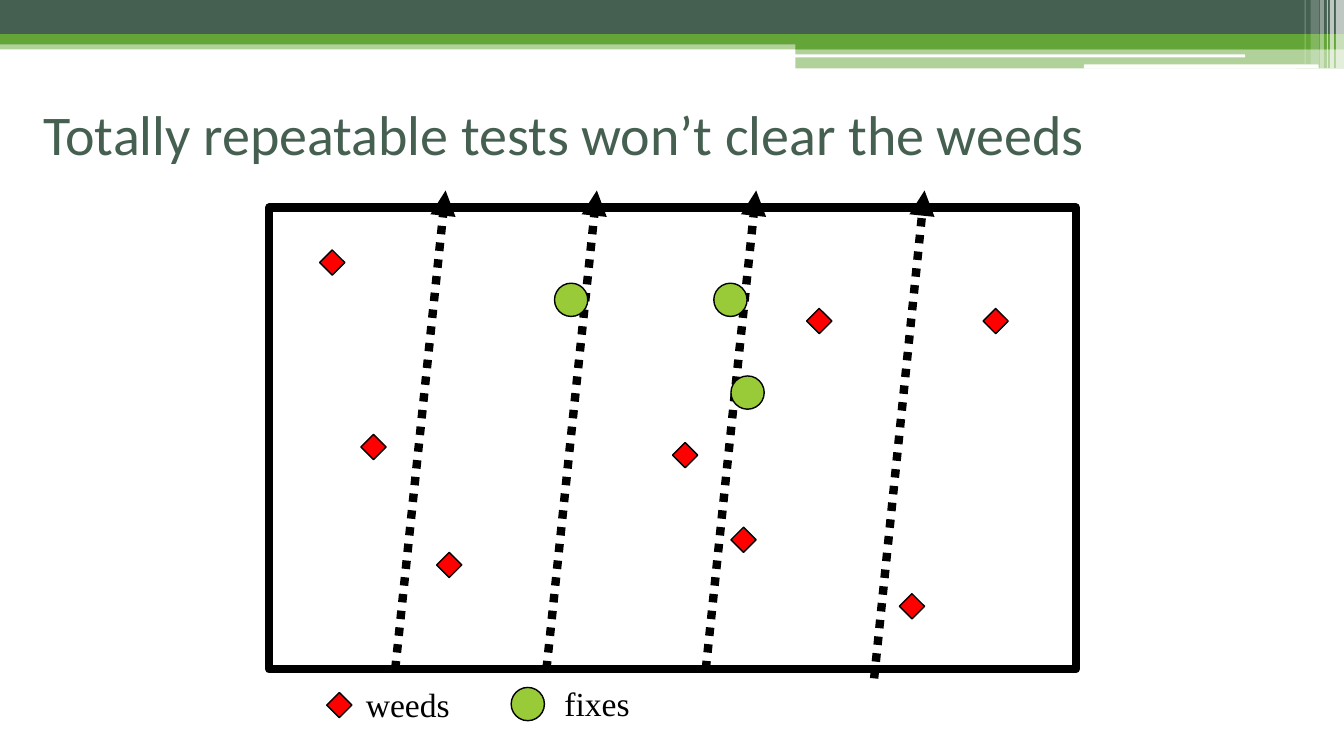
from dataclasses import dataclass

from lxml.etree import SubElement
from pptx import Presentation
from pptx.dml.color import RGBColor
from pptx.enum.dml import MSO_LINE
from pptx.enum.shapes import MSO_CONNECTOR, MSO_SHAPE
from pptx.enum.text import MSO_ANCHOR
from pptx.oxml.ns import qn
from pptx.util import Inches, Pt

RECT = MSO_SHAPE.RECTANGLE
ROUND = MSO_SHAPE.ROUNDED_RECTANGLE
DIAMOND = MSO_SHAPE.DIAMOND
OVAL = MSO_SHAPE.OVAL
STRAIGHT = MSO_CONNECTOR.STRAIGHT
DOTS = MSO_LINE.ROUND_DOT
TOP = MSO_ANCHOR.TOP
MIDDLE = MSO_ANCHOR.MIDDLE

COLORS = {
    "dark": "455F51",
    "green": "63A537",
    "white": "FFFFFF",
    "black": "000000",
    "weed": "FF0000",
    "fix": "99CB38",
}


@dataclass
class Band:
    left: float
    top: float
    width: float
    height: float
    color: str
    alpha: int = 100
    kind: MSO_SHAPE = RECT
    edge: float = 0


@dataclass
class Mark:
    kind: MSO_SHAPE
    size: float
    color: str


@dataclass
class Row:
    left: float
    base: float


BANDS = [
    Band(0, 0.4, 13.33, 0.09, "green", 50),
    Band(0, 0, 13.33, 0.34, "dark"),
    Band(0, 0.34, 13.33, 0.1, "green"),
    Band(7.89, 0.39, 5.44, 0.1, "green"),
    Band(7.89, 0.48, 5.44, 0.2, "green", 50),
    Band(7.88, 0.54, 4.47, 0.03, "white", kind=ROUND),
    Band(10.75, 0.64, 2.33, 0.04, "white", kind=ROUND),
    Band(13.25, 0, 0.08, 0.68, "white", 65),
    Band(13.19, 0, 0.04, 0.68, "white", 65),
    Band(13.16, 0, 0.01, 0.68, "white", 60),
    Band(13.09, 0, 0.04, 0.68, "white", 40),
    Band(13, 0, 0.08, 0.64, "white", 20),
    Band(12.94, 0, 0.01, 0.64, "white", 30),
]
FIELD = Band(2.67, 2.06, 8, 4.58, "white", edge=6)
WEED = Mark(DIAMOND, 0.25, "weed")
FIX = Mark(OVAL, 0.33, "fix")
WEEDS = [
    (8, 3.06), (3.17, 2.48), (3.58, 4.31), (6.67, 4.39),
    (7.25, 5.23), (9.75, 3.06), (8.92, 5.89), (4.33, 5.48),
]
FIXES = [(7.25, 3.73), (7.08, 2.81), (5.5, 2.81)]
ROWS = [Row(7, 6.64), Row(5.42, 6.64), Row(8.67, 6.73), Row(3.92, 6.64)]
ROW_TOP = 1.89
LEAN = 0.5


def paint(name: str) -> RGBColor:
    return RGBColor.from_string(COLORS[name])


def draw_band(shapes, band: Band) -> None:
    shape = shapes.add_shape(
        band.kind, Inches(band.left), Inches(band.top),
        Inches(band.width), Inches(band.height),
    )
    shape.shadow.inherit = False
    shape.fill.solid()
    shape.fill.fore_color.rgb = paint(band.color)
    if band.alpha < 100:
        tone = shape.element.spPr.find(".//" + qn("a:srgbClr"))
        SubElement(tone, qn("a:alpha"), val=str(band.alpha * 1000))
    if band.edge:
        shape.line.color.rgb = paint("black")
        shape.line.width = Pt(band.edge)
    else:
        shape.line.fill.background()


def draw_mark(shapes, mark: Mark, left: float, top: float) -> None:
    draw_band(shapes, Band(left, top, mark.size, mark.size, mark.color,
                           kind=mark.kind, edge=1))


def draw_row(shapes, row: Row) -> None:
    arrow = shapes.add_connector(
        STRAIGHT, Inches(row.left), Inches(row.base),
        Inches(row.left + LEAN), Inches(ROW_TOP),
    )
    arrow.line.color.rgb = paint("black")
    arrow.line.width = Pt(6)
    arrow.line.dash_style = DOTS
    props = arrow.element.spPr
    SubElement(props.find(qn("a:ln")), qn("a:tailEnd"), type="triangle")
    SubElement(props, qn("a:effectLst"))


def draw_text(shapes, text: str, *, left: float, top: float, width: float,
              height: float, size: float = 24, font: str = "Times New Roman",
              color: str = "black", anchor: MSO_ANCHOR = TOP) -> None:
    frame = shapes.add_textbox(
        Inches(left), Inches(top), Inches(width), Inches(height)
    ).text_frame
    frame.word_wrap = True
    frame.vertical_anchor = anchor
    run = frame.paragraphs[0].add_run()
    run.text = text
    run.font.size = Pt(size)
    run.font.name = font
    run.font.color.rgb = paint(color)


def main() -> None:
    deck = Presentation()
    deck.slide_width = Inches(13.33)
    deck.slide_height = Inches(7.5)
    shapes = deck.slides.add_slide(deck.slide_layouts[6]).shapes

    for band in BANDS:
        draw_band(shapes, band)
    draw_text(shapes, "Totally repeatable tests won’t clear the weeds",
              left=0.33, top=0.82, width=12.71, height=1, size=40,
              font="Calibri", color="dark", anchor=MIDDLE)

    draw_band(shapes, FIELD)
    for left, top in WEEDS:
        draw_mark(shapes, WEED, left, top)
    for row in ROWS:
        draw_row(shapes, row)
    for left, top in FIXES:
        draw_mark(shapes, FIX, left, top)

    draw_mark(shapes, WEED, 3.24, 6.87)
    draw_text(shapes, "weeds", left=3.53, top=6.74, width=2.42, height=0.5)
    draw_mark(shapes, FIX, 5.07, 6.82)
    draw_text(shapes, "fixes", left=5.5, top=6.73, width=1, height=0.5)

    deck.save("out.pptx")


if __name__ == "__main__":
    main()
